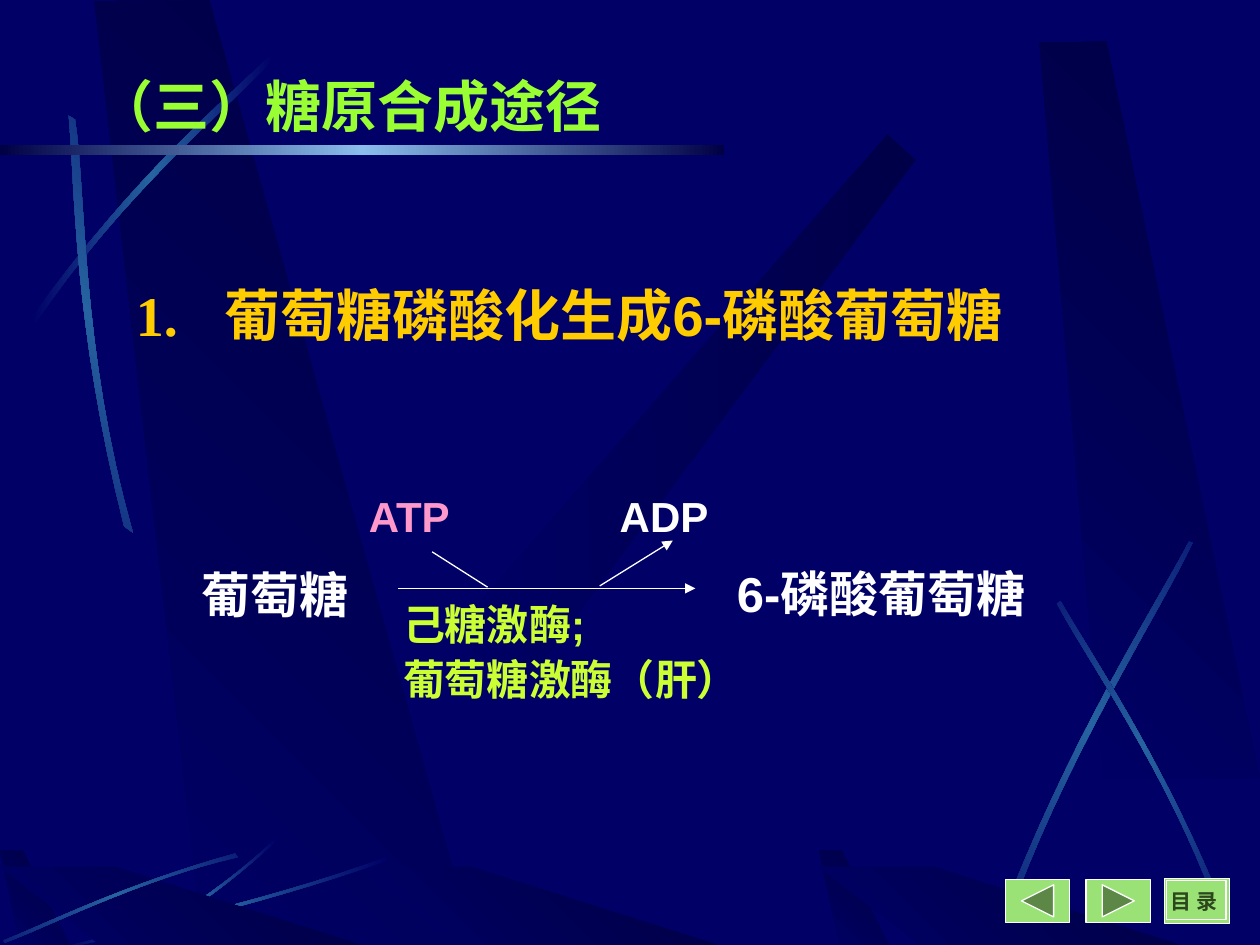
from math import cos, sin, radians
from lxml import etree
from pptx import Presentation
from pptx.dml.color import RGBColor
from pptx.enum.shapes import MSO_CONNECTOR, MSO_SHAPE
from pptx.enum.text import MSO_ANCHOR, PP_ALIGN
from pptx.oxml.ns import qn
from pptx.util import Inches, Pt

LINE = MSO_CONNECTOR.STRAIGHT
RECT = MSO_SHAPE.RECTANGLE
BACK = MSO_SHAPE.ACTION_BUTTON_BACK_OR_PREVIOUS
NEXT = MSO_SHAPE.ACTION_BUTTON_FORWARD_OR_NEXT

COLORS = {
    "navy": "000066", "dark": "000044", "arc": "2663A0", "glow": "8ABDEC",
    "button": "9AE276", "label": "2C471D", "white": "FFFFFF", "gold": "FFCC00",
    "pink": "FF99CC", "lime": "CCFF33", "green": "99FF33",
}
SERIF, SANS = "Times New Roman", "Arial"
SHADE = ["navy", "dark"]
STREAK = ["navy", "arc", "navy"]
GLOW = ["dark", "glow", "dark"]

# Background beams: corners, rotation, centre of rotation
BEAMS = [
    ([(3.61, 5.01), (4.11, 5.52), (7.27, 1.27), (7.05, 1.07)], 44.2, (5.58, 3.3)),
    ([(1.61, 7.5), (3.77, 7.52), (1.66, 0), (0.75, 0.01)], 0, (0, 0)),
    ([(8.75, 6.18), (10, 6.18), (8.78, 0.33), (8.25, 0.34)], 0, (0, 0)),
]
# Arcs: two Bezier edges, rotation, centre of rotation
ARCS = [
    ([(0.25, 2.52), (1.08, 1.36), (1.84, 0.75), (2.16, 0.42)],
     [(2.17, 0.47), (1.85, 0.83), (0.99, 1.5), (0.26, 2.6)], 0, (0, 0)),
    ([(0.98, 4.18), (0.57, 2.56), (0.59, 1.45), (0.54, 0.92)],
     [(0.59, 0.95), (0.68, 1.5), (0.63, 2.76), (1.05, 4.23)], 311.7, (0.8, 2.58)),
    ([(7.93, 7.34), (8.48, 5.88), (9.18, 4.8), (9.44, 4.3)],
     [(9.47, 4.31), (9.23, 4.83), (8.43, 6.05), (7.98, 7.37)], 321.6, (8.71, 5.83)),
    ([(9.68, 7.13), (9.21, 5.99), (8.64, 5.16), (8.42, 4.77)],
     [(8.39, 4.79), (8.6, 5.19), (9.26, 6.12), (9.64, 7.16)], 34.8, (9.03, 5.97)),
]
LOW_ARCS = [
    ([(2.19, 6.68), (1.67, 7.16), (1.2, 7.42), (1, 7.55)],
     [(1, 7.53), (1.2, 7.38), (1.73, 7.1), (2.19, 6.65)], 0, (0, 0)),
    ([(3.08, 6.83), (1.93, 7.23), (0.88, 7.44), (0.43, 7.55)],
     [(0.42, 7.54), (0.86, 7.41), (2.06, 7.18), (3.07, 6.8)], 0, (0, 0)),
]
TOP_ARC = ([(1.86, 6.77), (0.99, 7.01), (0.33, 7.34), (0.02, 7.46)],
           [(0.03, 7.48), (0.34, 7.37), (1.09, 6.98), (1.88, 6.8)], 314.9, (0.95, 7.14))
# Wedges along the foot, relative to their own corner
WIDE = [(0.86, 0.67), (3.02, 0.67), (0.91, 0), (0, 0)]
THIN = [(0.17, 0.8), (0.58, 0.8), (0.18, 0), (0, 0)]
FOOT = [(WIDE, 2.83, 6.88), (THIN, 0, 6.75), (THIN, 6.5, 6.75)]
FRONT = [(WIDE, 0, 6.88), (WIDE, 6.5, 6.88)]

BUTTONS = [
    (NEXT, 8.62, 6.98, 0.51, 0.34), (BACK, 7.98, 6.98, 0.51, 0.34),
    (RECT, 9.24, 6.97, 0.52, 0.36), (RECT, 9.26, 6.99, 0.47, 0.31),
]
TITLE = "（三）糖原合成途径"
# Text boxes: place, size, colour, paragraphs of (line spacing, runs of (text, font))
TEXTS = [
    ((9.19, 7, 0.57, 0.3), 12, "label", [(1, [("目 录", SERIF)])]),
    ((0.98, 2.18, 8.17, 0.64), 32, "gold",
     [(1, [("1.\t", SERIF), ("葡萄糖磷酸化生成6-磷酸葡萄糖", SANS)])]),
    ((1.5, 4.43, 1.85, 0.57), 28, "white", [(1, [("葡萄糖", SANS)])]),
    ((5.75, 4.42, 3.58, 0.57), 28, "white", [(1, [("6-磷酸葡萄糖", SANS)])]),
    ((2.83, 3.84, 1.23, 0.5), 24, "pink", [(1, [("ATP", SANS)])]),
    ((4.82, 3.84, 1.28, 0.5), 24, "white", [(1, [("ADP", SANS)])]),
    ((3.1, 4.58, 3.02, 1.06), 24, "lime",
     [(1.3, [("己糖激酶;", SANS)]), (1.1, [("葡萄糖激酶（肝）", SANS)])]),
]
# Reaction lines: start, end, arrowhead
LINES = [
    ((3.16, 4.67), (5.52, 4.67), True),
    ((3.43, 4.38), (3.87, 4.66), False),
    ((4.76, 4.65), (5.34, 4.29), True),
]


def rgb(name):
    return RGBColor.from_string(COLORS[name])


def blend(shape, names, angle):
    """Give a shape an evenly stopped linear gradient and no line."""
    shape.shadow.inherit = False
    shape.line.fill.background()
    shape.fill.gradient()
    shape.fill.gradient_angle = angle
    stops = shape._element.spPr.find(".//" + qn("a:gsLst"))
    for old in list(stops):
        stops.remove(old)
    for i, name in enumerate(names):
        stop = etree.SubElement(stops, qn("a:gs"), pos=str(100000 * i // (len(names) - 1)))
        etree.SubElement(stop, qn("a:srgbClr"), val=COLORS[name])


def turn(point, mid, angle):
    a, x, y = radians(angle), point[0] - mid[0], point[1] - mid[1]
    return mid[0] + x * cos(a) - y * sin(a), mid[1] + x * sin(a) + y * cos(a)


def outline(points, names, angle, rot=0, mid=(0, 0)):
    pts = [tuple(Inches(v) for v in turn(p, mid, -rot)) for p in points]
    pen = slide.shapes.build_freeform(*pts[0])
    pen.add_line_segments(pts[1:], close=True)
    shape = pen.convert_to_shape()
    shape.rotation = rot
    blend(shape, names, angle)


def curve(ends, steps=16):
    """Sample a cubic Bezier curve."""
    for i in range(steps + 1):
        t = i / steps
        parts = ((1 - t) ** 3, 3 * t * (1 - t) ** 2, 3 * t * t * (1 - t), t ** 3)
        yield tuple(sum(w * p[k] for w, p in zip(parts, ends)) for k in (0, 1))


def arc(one, two, rot, mid):
    outline([*curve(one), *curve(two)], STREAK, 0, rot, mid)


def wedge(form, left, top):
    outline([(left + x, top + y) for x, y in form], SHADE, 45)


def style(run, font, size, color):
    run.font.name, run.font.size, run.font.bold = font, Pt(size), True
    run.font.color.rgb = rgb(color)


deck = Presentation()
deck.slide_width, deck.slide_height = Inches(10), Inches(7.5)
slide = deck.slides.add_slide(deck.slide_layouts[5])
slide.background.fill.solid()
slide.background.fill.fore_color.rgb = rgb("navy")

# Background
for points, rot, mid in BEAMS:
    outline(points, SHADE, 45, rot, mid)
for item in ARCS:
    arc(*item)
for item in FOOT:
    wedge(*item)
for item in LOW_ARCS:
    arc(*item)
bar = slide.shapes.add_shape(RECT, *map(Inches, (0, 1.15, 5.75, 0.08)))
blend(bar, GLOW, 0)
for item in FRONT:
    wedge(*item)
arc(*TOP_ARC)

# Navigation buttons
for kind, *box in BUTTONS:
    key = slide.shapes.add_shape(kind, *map(Inches, box))
    key.shadow.inherit = False
    key.fill.solid()
    key.fill.fore_color.rgb = rgb("button")
    key.line.color.rgb = rgb("white")
    key.line.width = Pt(0.75)

# Reaction lines
for start, end, head in LINES:
    link = slide.shapes.add_connector(LINE, *map(Inches, start + end))
    link.line.color.rgb = rgb("white")
    link.line.width = Pt(0.75)
    if head:
        etree.SubElement(link.line._get_or_add_ln(), qn("a:tailEnd"), type="triangle")
    etree.SubElement(link._element.spPr, qn("a:effectLst"))

# Texts
for box, size, color, paras in TEXTS:
    frame = slide.shapes.add_textbox(*map(Inches, box)).text_frame
    frame.word_wrap = size > 12
    for i, (space, runs) in enumerate(paras):
        para = frame.add_paragraph() if i else frame.paragraphs[0]
        if "\t" in runs[0][0]:
            tabs = etree.SubElement(para._p.get_or_add_pPr(), qn("a:tabLst"))
            etree.SubElement(tabs, qn("a:tab"), pos=str(Inches(0.7)), algn="l")
        para.line_spacing = space
        for text, font in runs:
            run = para.add_run()
            run.text = text
            style(run, font, size, color)

# Title, in front of the background
title = slide.shapes.title
title.left, title.top, title.width, title.height = map(Inches, (0.67, 0.52, 6.38, 0.64))
title.text_frame.text = TITLE
title.text_frame.vertical_anchor = MSO_ANCHOR.TOP
title.text_frame.paragraphs[0].alignment = PP_ALIGN.LEFT
style(title.text_frame.paragraphs[0].runs[0], SERIF, 32, "green")
slide.shapes._spTree.append(title._element)

deck.save("out.pptx")
